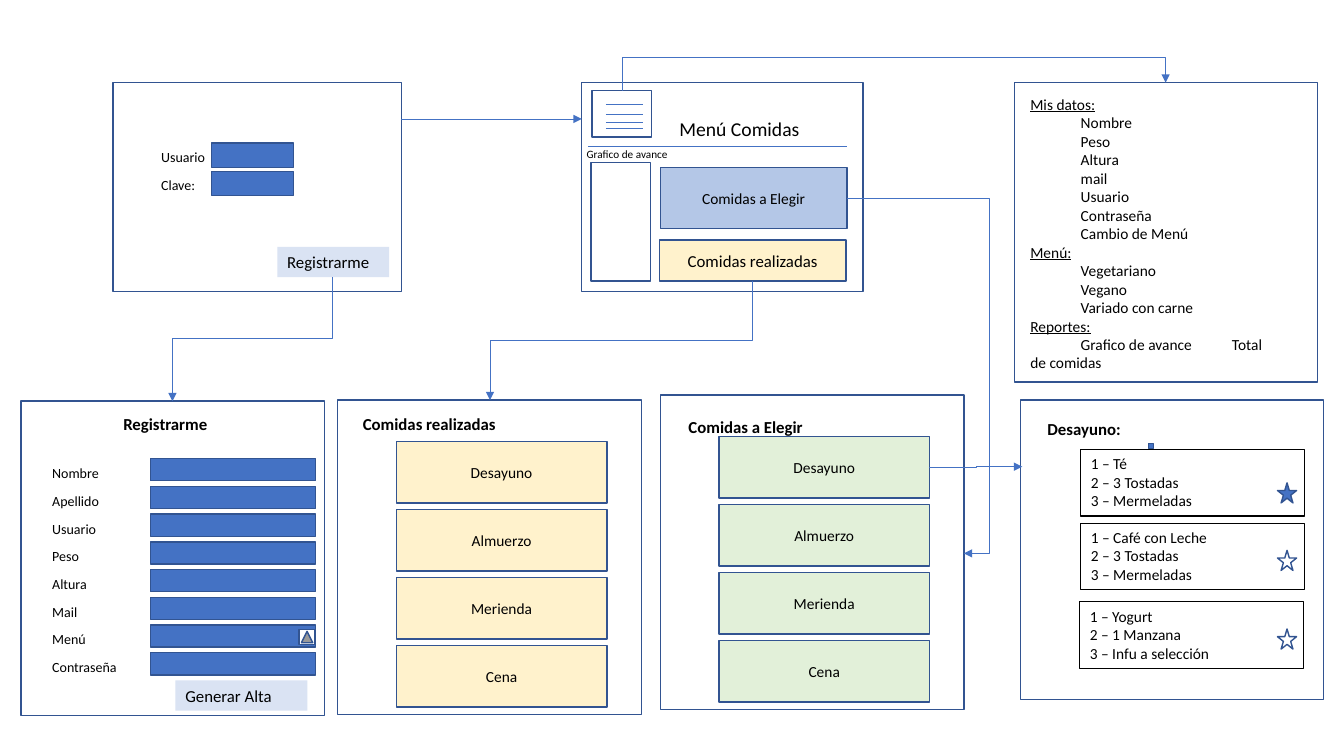
"""Builds the screen-flow slide of a meal planning app."""
from lxml import etree
from pptx import Presentation
from pptx.dml.color import RGBColor
from pptx.enum.shapes import MSO_CONNECTOR, MSO_SHAPE
from pptx.enum.text import MSO_ANCHOR, PP_ALIGN
from pptx.oxml.ns import qn
from pptx.util import Inches, Pt

RECT, STAR = MSO_SHAPE.RECTANGLE, MSO_SHAPE.STAR_5_POINT
BACK_BUTTON = MSO_SHAPE.ACTION_BUTTON_BACK_OR_PREVIOUS
STRAIGHT, ELBOW = MSO_CONNECTOR.STRAIGHT, MSO_CONNECTOR.ELBOW
LEFT, CENTER = PP_ALIGN.LEFT, PP_ALIGN.CENTER
TOP, MIDDLE = MSO_ANCHOR.TOP, MSO_ANCHOR.MIDDLE

FONT = "Calibri"
BLACK, WHITE, BLUE, NAVY = "000000", "FFFFFF", "4472C4", "325491"
PALE, SKY, CREAM, MINT = "DAE3F3", "B4C7E7", "FFF2CC", "E2F0D9"

PANELS = [
    (1.12, 0.82, 2.86, 2.07), (5.77, 0.82, 2.79, 2.07), (10.06, 0.82, 3.01, 2.97),
    (0.21, 3.98, 3.01, 3.12), (3.35, 3.97, 3.01, 3.12), (6.55, 3.92, 3.01, 3.12),
    (10.12, 3.97, 3.01, 2.97), (5.87, 0.9, 0.59, 0.46), (5.86, 1.61, 0.59, 1.18),
]
TITLES = [
    ("Registrarme", 0.27, 4.06, 2.74, CENTER),
    ("Comidas realizadas", 3.5, 4.06, 2.22, LEFT),
    ("Comidas a Elegir", 6.73, 4.09, 2.22, LEFT),
    ("Desayuno:", 10.29, 4.11, 2.22, LEFT),
]
LOGIN = ["Usuario", "Clave:"]
FIELDS = ["Nombre", "Apellido", "Usuario", "Peso", "Altura", "Mail", "Menú", "Contraseña"]
MEALS = ["Desayuno", "Almuerzo", "Merienda", "Cena"]
MEAL_COLUMNS = [(3.93, 4.38, CREAM), (7.13, 4.33, MINT)]
BUTTONS = [("Registrarme", 2.75, 2.45, 1.11), ("Generar Alta", 1.74, 6.75, 1.31)]
MENU_ITEMS = [
    ("Comidas a Elegir", 6.55, 1.66, 0.61, SKY, 11),
    ("Comidas realizadas", 6.54, 2.38, 0.41, CREAM, 12),
]
BURGER_LINES = [1.04, 1.13, 1.21, 1.27]
PROFILE = [
    ("Mis datos:", ["Nombre", "Peso", "Altura", "mail", "Usuario", "Contraseña", "Cambio de Menú"]),
    ("Menú:", ["Vegetariano", "Vegano", "Variado con carne"]),
    ("Reportes:", ["Grafico de avance\tTotal de comidas"]),
]
BREAKFASTS = [
    (["1 – Té", "2 – 3 Tostadas", "3 – Mermeladas"], 10.72, 4.46, 4.79, BLUE),
    (["1 – Café con Leche", "2 – 3 Tostadas", "3 – Mermeladas"], 10.72, 5.19, 5.46, None),
    (["1 – Yogurt", "2 – 1 Manzana", "3 – Infu a selección"], 10.71, 5.97, 6.24, None),
]
DOWN_ARROWS = [
    ((6.17, 0.9), (11.56, 0.82), 0.57),
    ((7.46, 2.79), (4.86, 3.97), 3.38),
    ((3.3, 2.75), (1.71, 3.98), 3.36),
]
SIDE_ARROWS = [
    ((8.4, 1.97), (9.56, 5.49), 9.81),
    ((9.21, 4.64), (10.14, 4.63), 9.68),
]

prs = Presentation()
prs.slide_width, prs.slide_height = Inches(13.33), Inches(7.5)
s = prs.slides.add_slide(prs.slide_layouts[6])


def rgb(color):
    return RGBColor.from_string(color)


def write(sp, text, size=11, bold=False, align=LEFT, anchor=TOP, underlined=()):
    tf = sp.text_frame
    tf.word_wrap, tf.vertical_anchor = True, anchor
    lines = [text] if isinstance(text, str) else text
    for i, line in enumerate(lines):
        p = tf.paragraphs[0] if i == 0 else tf.add_paragraph()
        p.alignment = align
        r = p.add_run()
        r.text = line
        r.font.name, r.font.size, r.font.bold = FONT, Pt(size), bold
        r.font.underline = line in underlined
        r.font.color.rgb = rgb(BLACK)


def label(x, y, w, h, text, **fmt):
    write(s.shapes.add_textbox(Inches(x), Inches(y), Inches(w), Inches(h)), text, **fmt)


def box(x, y, w, h, fill=None, line=NAVY, weight=1, kind=RECT):
    sp = s.shapes.add_shape(kind, Inches(x), Inches(y), Inches(w), Inches(h))
    sp.shadow.inherit = False
    if fill:
        sp.fill.solid()
        sp.fill.fore_color.rgb = rgb(fill)
    else:
        sp.fill.background()
    if line:
        sp.line.color.rgb = rgb(line)
        sp.line.width = Pt(weight)
    else:
        sp.line.fill.background()
    return sp


def connect(start, end, kind=STRAIGHT, arrow=True):
    c = s.shapes.add_connector(kind, *(Inches(v) for v in (*start, *end)))
    c.line.color.rgb = rgb(BLUE)
    c.line.width = Pt(0.5)
    if arrow:
        etree.SubElement(c.line._get_or_add_ln(), qn("a:tailEnd"), type="triangle")
    etree.SubElement(c._element.spPr, qn("a:effectLst"))
    return c


def bend(c, ratio):
    guides = c._element.spPr.find(qn("a:prstGeom")).get_or_add_avLst()
    etree.SubElement(guides, qn("a:gd"), name="adj1", fmla=f"val {round(ratio * 100000)}")


def side_arrow(start, end, turn_x):
    c = connect(start, end, ELBOW)
    bend(c, (turn_x - start[0]) / (end[0] - start[0]))


def down_arrow(start, end, turn_y):
    (x1, y1), (x2, y2) = start, end
    cx, cy, dx, dy = (x1 + x2) / 2, (y1 + y2) / 2, (x2 - x1) / 2, (y2 - y1) / 2
    c = connect((cx - dy, cy + dx), (cx + dy, cy - dx), ELBOW)
    c._element.spPr.find(qn("a:xfrm")).set("rot", "5400000")
    bend(c, (turn_y - y1) / (y2 - y1))


for panel in PANELS:
    box(*panel)
for text, x, y, w, align in TITLES:
    label(x, y, w, 0.3, text, size=12, bold=True, align=align)

for i, name in enumerate(LOGIN):
    y = 1.42 + 0.28 * i
    label(1.5, y, 0.81, 0.27, name, size=10)
    box(2.1, y, 0.81, 0.24, BLUE)
for i, name in enumerate(FIELDS):
    y = 4.55 + 0.275 * i
    label(0.42, y + 0.01, 0.93, 0.27, name, size=10)
    box(1.49, y, 1.64, 0.22, BLUE)
box(2.97, 6.24, 0.15, 0.16, WHITE, kind=BACK_BUTTON).rotation = 90
for text, x, y, w in BUTTONS:
    write(box(x, y, w, 0.3, PALE, line=None), text, size=12)

for y in BURGER_LINES:
    connect((6.01, y), (6.38, y), arrow=False)
connect((5.83, 1.45), (8.4, 1.45), arrow=False)
label(6.64, 1.11, 1.63, 0.34, "Menú Comidas", size=14)
label(5.72, 1.41, 2.56, 0.24, "Grafico de avance", size=8)
for text, x, y, h, fill, size in MENU_ITEMS:
    write(box(x, y, 1.85, h, fill), text, size=size, align=CENTER, anchor=MIDDLE)

profile_lines = []
for heading, items in PROFILE:
    profile_lines += [heading] + ["\t" + item for item in items]
label(10.12, 0.89, 2.55, 2.88, profile_lines, underlined=[heading for heading, _ in PROFILE])

for x, top, fill in MEAL_COLUMNS:
    for i, meal in enumerate(MEALS):
        write(box(x, top + 0.675 * i, 2.09, 0.61, fill), meal, align=CENTER, anchor=MIDDLE)

box(11.39, 4.4, 0.05, 0.05, BLUE)
for lines, x, y, star_y, star_fill in BREAKFASTS:
    write(box(x, y, 2.22, 0.66, line=BLACK, weight=0.75), lines)
    box(12.67, star_y, 0.19, 0.2, star_fill, kind=STAR)

connect((3.98, 1.18), (5.77, 1.18))
for arrow in SIDE_ARROWS:
    side_arrow(*arrow)
for arrow in DOWN_ARROWS:
    down_arrow(*arrow)

prs.save("out.pptx")
